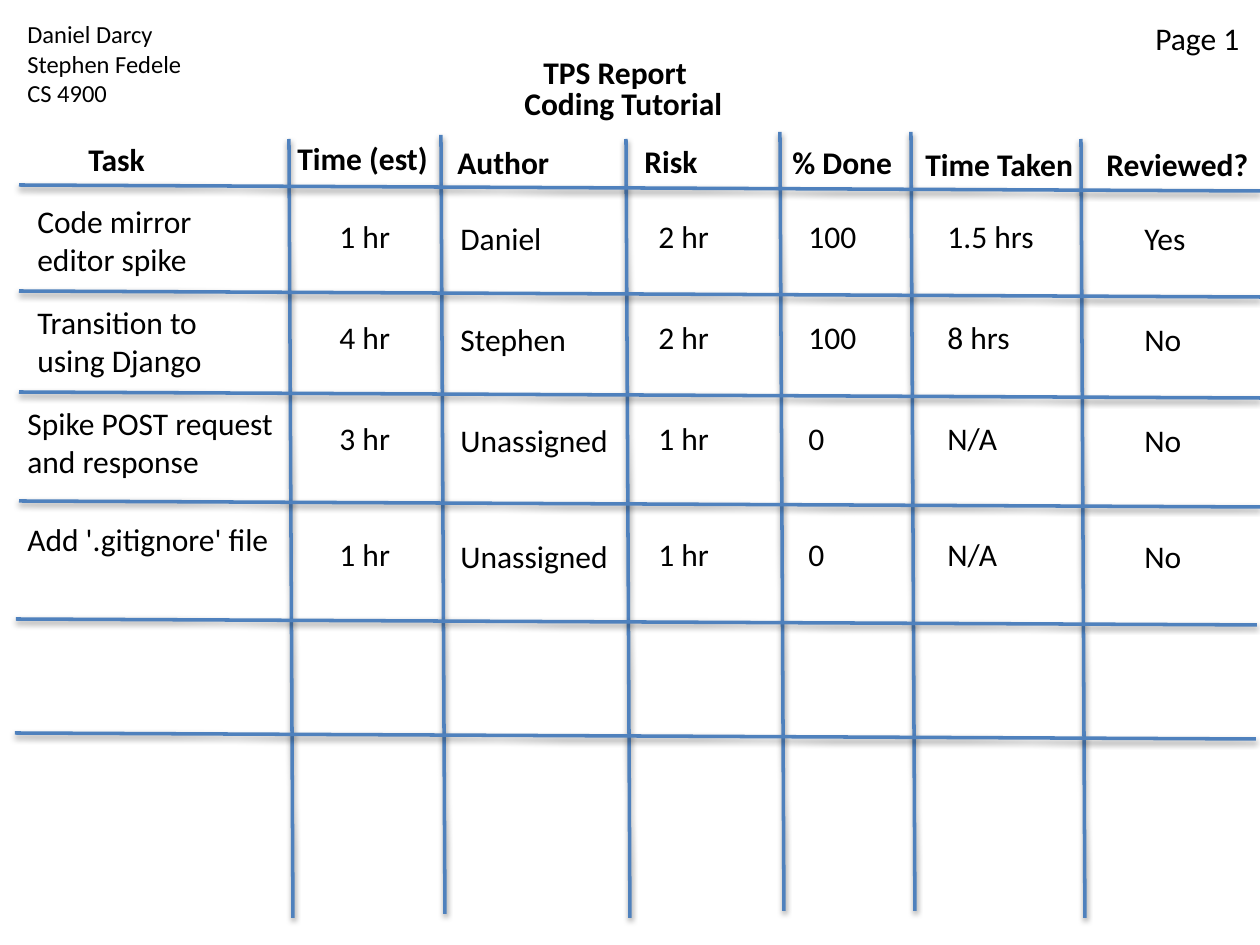
import pptx
import pptx.util
import pptx.dml.color
import pptx.enum.shapes
import pptx.oxml

PX = 914400 // 126
COLORS = {"ink": "000000", "rule": "4F81BD"}
FONT = "Calibri"
LINE_H = 50
SHADOW = (
    '<a:effectLst xmlns:a="http://schemas.openxmlformats.org/drawingml/2006/main">'
    '<a:outerShdw blurRad="40000" dist="20000" dir="5400000" rotWithShape="0">'
    '<a:srgbClr val="000000"><a:alpha val="38000"/></a:srgbClr>'
    '</a:outerShdw></a:effectLst>')

HEADINGS = [("Task", 61, 2), ("Time (est)", 270, 1), ("Author", 430, 5),
            ("Risk", 617, 4), ("% Done", 765, 5), ("Time Taken", 898, 7),
            ("Reviewed?", 1079, 7)]
# Left, width and drop of the columns after the task
COLUMNS = [(312, 84, 0), (433, 180, 2), (631, 84, 0),
           (781, 84, 0), (920, 120, 0), (1117, 84, 2)]
# Top, task left, task width, task, other cells
TASKS = [
    (64, 10, 227, "Code mirror editor spike",
     ["1 hr", "Daniel", "2 hr", "100", "1.5 hrs", "Yes"]),
    (165, 10, 227, "Transition to using Django",
     ["4 hr", "Stephen", "2 hr", "100", "8 hrs", "No"]),
    (266, 0, 277, "Spike POST request and response",
     ["3 hr", "Unassigned", "1 hr", "0", "N/A", "No"]),
    (382, 0, 277, "Add '.gitignore' file",
     ["1 hr", "Unassigned", "1 hr", "0", "N/A", "No"]),
]
COLUMN_RULES = [(274, 7), (426, 3), (611, 7), (765, 0), (896, 0), (1066, 7)]
ROW_RULES = [(4, 53), (4, 159), (4, 260), (4, 369), (1, 487), (0, 601)]


def px(n):
    return pptx.util.Emu(n * PX)


def rgb(name):
    return pptx.dml.color.RGBColor.from_string(COLORS[name])


def add_text(slide, x, y, w, h, lines, size=18, bold=False):
    sp = slide.shapes.add_textbox(px(x), px(y), px(w), px(h))
    tf = sp.text_frame
    tf.word_wrap = True
    fmt = {"name": FONT, "size": pptx.util.Pt(size), "bold": bold}
    for i, line in enumerate(lines):
        p = tf.add_paragraph() if i else tf.paragraphs[0]
        r = p.add_run()
        r.text = line
        for key, value in fmt.items():
            setattr(r.font, key, value)
        r.font.color.rgb = rgb("ink")


def add_rule(slide, x, y, dx, dy):
    line = slide.shapes.add_connector(
        pptx.enum.shapes.MSO_CONNECTOR.STRAIGHT,
        px(x), px(y), px(x + dx), px(y + dy))
    line.line.color.rgb = rgb("rule")
    line.line.width = pptx.util.Pt(2)
    line._element.spPr.append(pptx.oxml.parse_xml(SHADOW))


def add_header(slide, x, y):
    # Authors, page number and two-line title
    add_text(slide, x, y, 241, 101,
             ["Daniel Darcy", "Stephen Fedele", "CS 4900"], size=14)
    add_text(slide, x + 1128, y, 114, LINE_H, ["Page 1"])
    add_text(slide, x + 516, y + 34, 173, LINE_H, ["TPS Report"], bold=True)
    add_text(slide, x + 497, y + 65, 231, LINE_H, ["Coding Tutorial"],
             bold=True)


def add_task_grid(slide, x, y):
    # Slightly slanted rules
    for dx, dy in COLUMN_RULES:
        add_rule(slide, x + dx, y + dy, 4, 779)
    for dx, dy in ROW_RULES:
        add_rule(slide, x + dx, y + dy, 1241, 6)
    # Column headings
    for heading, dx, dy in HEADINGS:
        add_text(slide, x + dx, y + dy, 192, LINE_H, [heading], bold=True)
    # Task rows
    for top, left, width, task, cells in TASKS:
        add_text(slide, x + left, y + top, width, LINE_H, [task])
        for (dx, w, drop), cell in zip(COLUMNS, cells):
            add_text(slide, x + dx, y + top + 15 + drop, w, LINE_H, [cell])


prs = pptx.Presentation()
prs.slide_width = pptx.util.Inches(10)
prs.slide_height = pptx.util.Inches(7.5)
slide = prs.slides.add_slide(prs.slide_layouts[6])
add_header(slide, 15, 13)
add_task_grid(slide, 15, 132)
prs.save("out.pptx")
